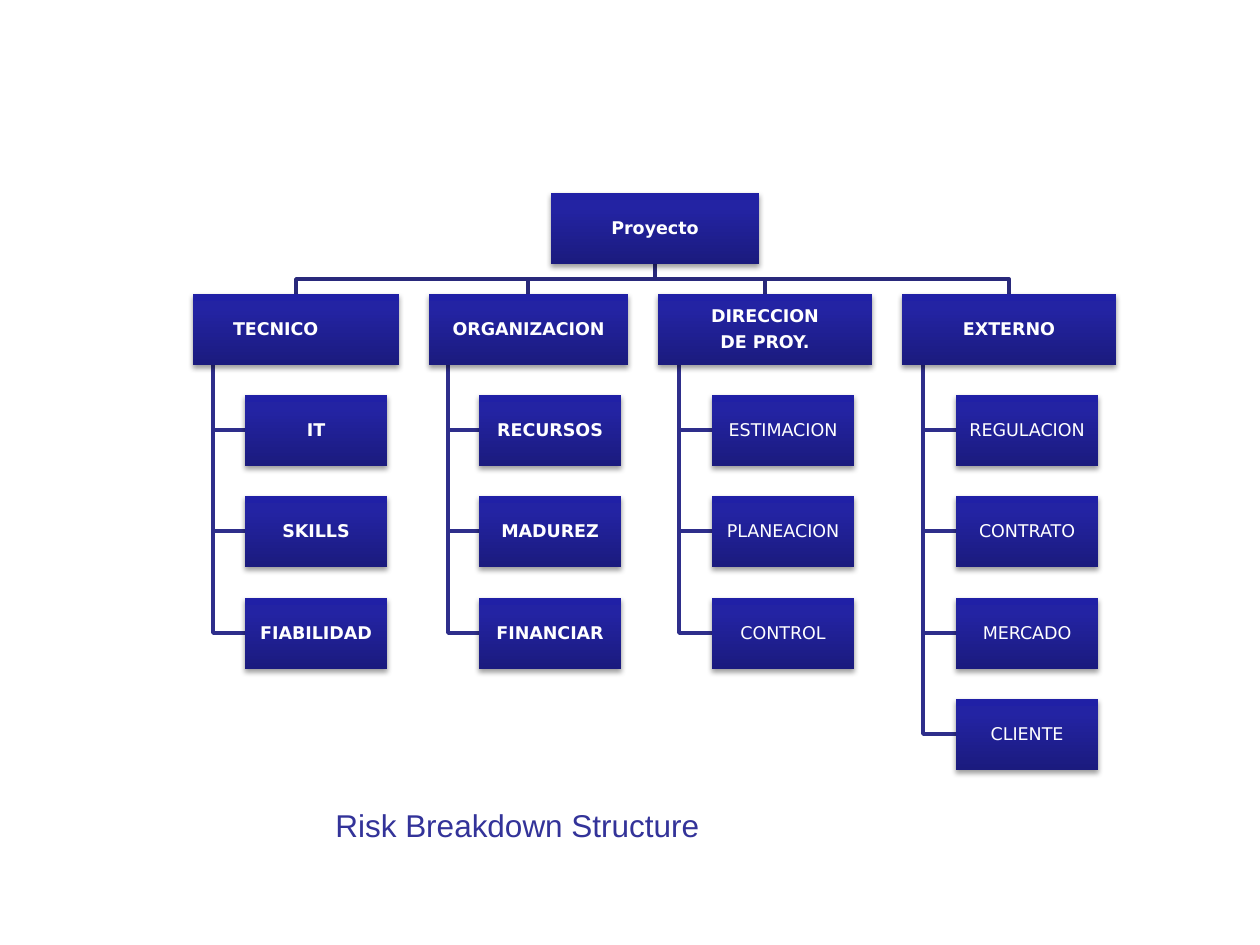
"""Build a risk breakdown structure slide: a project, its categories and their risks."""
from dataclasses import dataclass

from copy import deepcopy
from lxml.etree import SubElement
from pptx import Presentation
from pptx.dml.color import RGBColor
from pptx.enum.shapes import MSO_SHAPE as Shape
from pptx.enum.text import MSO_ANCHOR as Anchor, PP_ALIGN as Align
from pptx.oxml.ns import qn
from pptx.util import Emu, Pt

PIXEL = 914400 / 126
WHITE = RGBColor(0xFF, 0xFF, 0xFF)
CAPTION_BLUE = RGBColor(0x33, 0x33, 0x99)
TRUNK_BLUE = RGBColor(0x29, 0x29, 0x7B)
BRANCH_BLUE = RGBColor(0x2E, 0x2E, 0x8B)
GRADIENT = (
    (0.0, RGBColor(0x1B, 0x1B, 0x7E)),
    (0.8, RGBColor(0x23, 0x23, 0xA3)),
    (1.0, RGBColor(0x20, 0x20, 0xA6)),
)
BOX_HEIGHT = 71
RISK_WIDTH = 142
ROOT_LEFT, ROOT_WIDTH = 551, 208


@dataclass(frozen=True)
class Category:
    title: str
    left: int
    width: int
    risks: tuple[str, ...]
    bold: bool = False

    @property
    def spine(self) -> int:
        return self.left + self.width // 10

    @property
    def risk_left(self) -> int:
        return self.left + (self.width + 2) // 4


CATEGORIES = (
    Category("TECNICO\t", 193, 206, ("IT", "SKILLS", "FIABILIDAD"), True),
    Category("ORGANIZACION", 429, 199, ("RECURSOS", "MADUREZ", "FINANCIAR"), True),
    Category("DIRECCION\nDE PROY.", 658, 214, ("ESTIMACION", "PLANEACION", "CONTROL")),
    Category("EXTERNO", 902, 214, ("REGULACION", "CONTRATO", "MERCADO", "CLIENTE")),
)


def px(length: int) -> Emu:
    """Turn pixels into EMU."""
    return Emu(round(length * PIXEL))


def level_top(level: int) -> int:
    """Return the top of the boxes on one level."""
    return 193 + 405 * level // 4


def write(frame, text: str, *, font: str, size: int, color: RGBColor, bold: bool = False,
          align: Align = Align.LEFT, line_spacing: float = 1.0, after: int = 0) -> None:
    """Fill a text frame, one paragraph for each line of text."""
    for index, line in enumerate(text.split("\n")):
        para = frame.paragraphs[0] if index == 0 else frame.add_paragraph()
        para.alignment = align
        para.line_spacing = line_spacing
        para.space_after = Pt(after)
        span = para.add_run()
        span.text = line
        span.font.name = font
        span.font.size = Pt(size)
        span.font.bold = bold
        span.font.color.rgb = color


def add_shadow(box) -> None:
    """Give a box a soft shadow straight below it."""
    box.shadow.inherit = False
    effects = box._element.spPr.find(qn("a:effectLst"))
    shadow = SubElement(effects, qn("a:outerShdw"), blurRad=str(Pt(3.1)), dist=str(Pt(1.6)),
                        dir="5400000", rotWithShape="0")
    color = SubElement(shadow, qn("a:srgbClr"), val="000000")
    SubElement(color, qn("a:alpha"), val="38000")


def add_box(page, text: str, left: int, level: int, width: int, bold: bool = True) -> None:
    """Draw one labelled box of the tree."""
    box = page.shapes.add_shape(Shape.RECTANGLE, px(left), px(level_top(level)),
                                px(width), px(BOX_HEIGHT))
    box.fill.gradient()
    box.fill.gradient_angle = 90
    stop_list = box._element.spPr.find(qn("a:gradFill")).find(qn("a:gsLst"))
    stop_list.append(deepcopy(stop_list[0]))
    for stop, (position, color) in zip(box.fill.gradient_stops, GRADIENT):
        stop.position = position
        stop.color.rgb = color
    box.line.fill.background()
    add_shadow(box)
    frame = box.text_frame
    frame.word_wrap = True
    frame.vertical_anchor = Anchor.MIDDLE
    frame.margin_left = frame.margin_right = frame.margin_top = frame.margin_bottom = px(1)
    write(frame, text, font="DejaVu Sans", size=10, color=WHITE, bold=bold,
          align=Align.CENTER, line_spacing=0.9, after=4)


def add_elbow(page, points: list[tuple[int, int]], color: RGBColor) -> None:
    """Draw an open bent line through the points."""
    builder = page.shapes.build_freeform(*points[0], scale=PIXEL)
    builder.add_line_segments(points[1:], close=False)
    elbow = builder.convert_to_shape()
    elbow.fill.background()
    elbow.line.color.rgb = color
    elbow.line.width = Pt(2)
    elbow.shadow.inherit = False


def add_links(page, category: Category) -> None:
    """Join a category to the project and to its risks."""
    for level in range(len(category.risks) + 1, 1, -1):
        middle = level_top(level) + BOX_HEIGHT // 2
        add_elbow(page, [(category.spine, level_top(1) + BOX_HEIGHT), (category.spine, middle),
                         (category.risk_left, middle)], BRANCH_BLUE)
    start, end = level_top(0) + BOX_HEIGHT, level_top(1)
    trunk = ROOT_LEFT + ROOT_WIDTH // 2
    center = category.left + category.width // 2
    bend = (start + end) // 2
    add_elbow(page, [(trunk, start), (trunk, bend), (center, bend), (center, end)], TRUNK_BLUE)


def main() -> None:
    """Build and save the slide."""
    deck = Presentation()
    deck.slide_width, deck.slide_height = px(1260), px(945)
    page = deck.slides.add_slide(deck.slide_layouts[6])
    caption = page.shapes.add_textbox(px(323), px(800), px(592), px(72))
    caption.text_frame.word_wrap = True
    write(caption.text_frame, "Risk Breakdown Structure", font="Arial", size=18,
          color=CAPTION_BLUE)
    for category in reversed(CATEGORIES):
        add_links(page, category)
    add_box(page, "Proyecto", ROOT_LEFT, 0, ROOT_WIDTH)
    for category in CATEGORIES:
        add_box(page, category.title, category.left, 1, category.width)
        for level, risk in enumerate(category.risks, start=2):
            add_box(page, risk, category.risk_left, level, RISK_WIDTH, category.bold)
    deck.save("out.pptx")


main()
